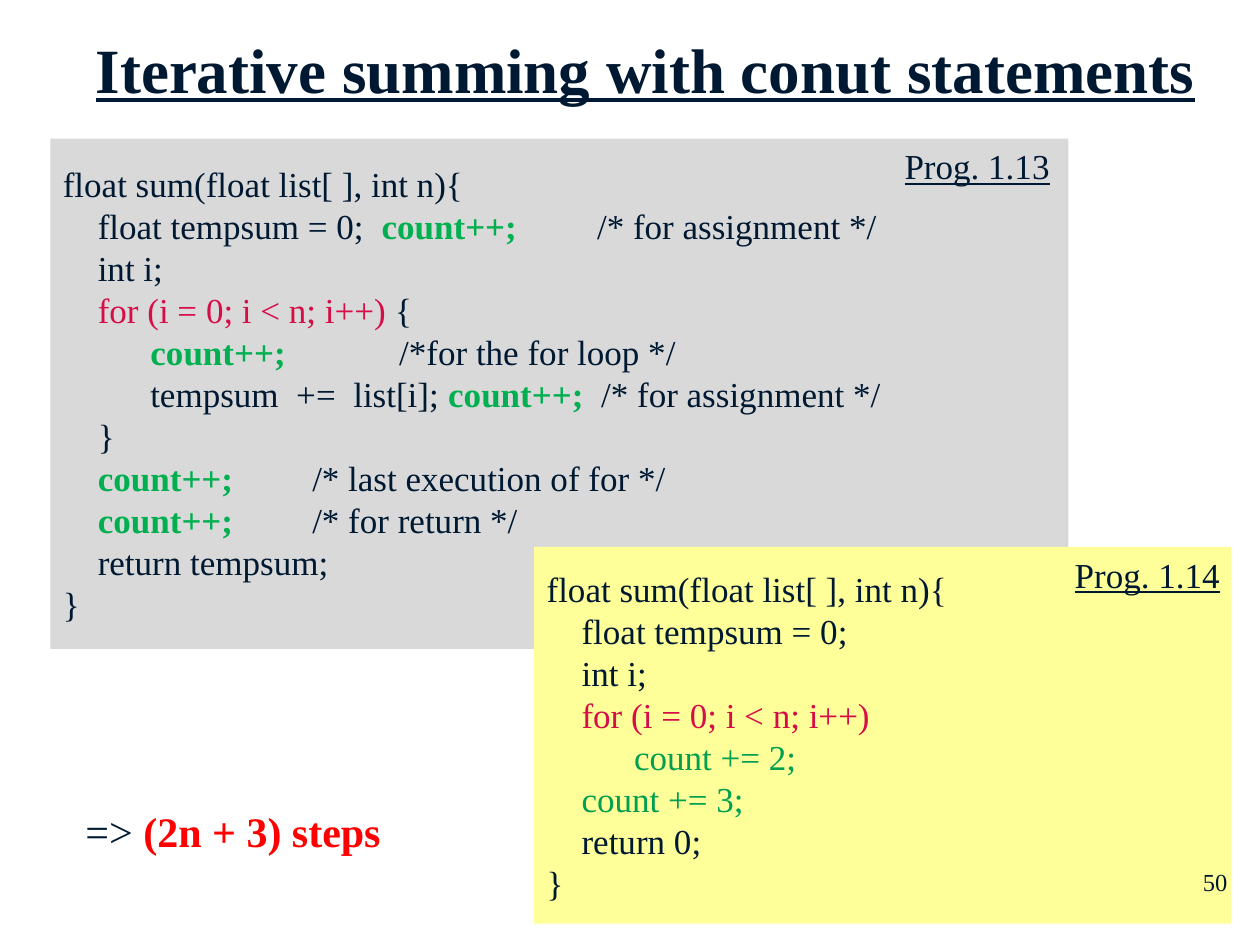
from pptx import Presentation
from pptx.dml.color import RGBColor
from pptx.enum.shapes import MSO_SHAPE
from pptx.enum.text import MSO_ANCHOR, MSO_AUTO_SIZE, PP_ALIGN
from pptx.oxml.ns import qn
from pptx.util import Inches, Pt
from lxml import etree

RECT = MSO_SHAPE.RECTANGLE
TOP, MIDDLE = MSO_ANCHOR.TOP, MSO_ANCHOR.MIDDLE
NO_FIT = MSO_AUTO_SIZE.NONE
LEFT, CENTER, RIGHT = PP_ALIGN.LEFT, PP_ALIGN.CENTER, PP_ALIGN.RIGHT

FONT = "Times New Roman"
INK, GRAY, YELLOW = "001932", "D9D9D9", "FFFF99"
COUNT, LOOP, TOTAL, RED = "00B050", "D60E47", "039F51", "FF0000"


def rgb(value):
    return RGBColor.from_string(value)


def add_run(p, text, size, color=INK, bold=False, underline=False):
    r = p.add_run()
    r.text = text
    f = r.font
    f.name, f.size, f.bold, f.underline = FONT, Pt(size), bold, underline
    f.color.rgb = rgb(color)


def set_frame(tf, anchor):
    tf.word_wrap = True
    tf.auto_size = NO_FIT
    tf.vertical_anchor = anchor


def add_tab_stop(p, position):
    tabs = etree.SubElement(p._p.get_or_add_pPr(), qn("a:tabLst"))
    etree.SubElement(tabs, qn("a:tab"), pos=str(Inches(position)), algn="l")


def add_label(slide, box, runs, align=LEFT):
    """Place a one-line text; runs are argument tuples for add_run."""
    s = slide.shapes.add_textbox(*map(Inches, box))
    set_frame(s.text_frame, TOP)
    p = s.text_frame.paragraphs[0]
    p.alignment = align
    for run in runs:
        add_run(p, *run)


def add_title(slide, box, text):
    s = slide.shapes.title
    s.left, s.top, s.width, s.height = map(Inches, box)
    set_frame(s.text_frame, TOP)
    p = s.text_frame.paragraphs[0]
    p.alignment = CENTER
    add_run(p, text, 36, bold=True, underline=True)


def add_program(slide, box, fill, lines, name, name_left):
    """Place a code panel; each line is (comment tab stop, runs)."""
    s = slide.shapes.add_shape(RECT, *map(Inches, box))
    s.shadow.inherit = False
    s.fill.solid()
    s.fill.fore_color.rgb = rgb(fill)
    s.line.fill.background()
    tf = s.text_frame
    set_frame(tf, MIDDLE)
    for i, (tab, runs) in enumerate(lines):
        p = tf.add_paragraph() if i else tf.paragraphs[0]
        p.alignment = LEFT
        p.line_spacing = Pt(24)
        if tab:
            add_tab_stop(p, tab)
        for text, color, bold in runs:
            add_run(p, text, 20, color, bold)
    add_label(slide, (name_left, box[1], 1.47, 0.44),
              [(name, 20, INK, False, True)], CENTER)


def code(text, color=INK):
    return None, [(text, color, False)]


def counted(before, comment, tab=None):
    """A line of code with a bold counter and a comment."""
    return tab, [(before, INK, False), ("count++;", COUNT, True),
                 (("\t" if tab else "  ") + comment, INK, False)]


COUNTED_SUM = [
    code("float sum(float list[ ], int n){"),
    counted("    float tempsum = 0;  ", "/* for assignment */", 4.24),
    code("    int i;"),
    (None, [("    for (i = 0; i < n; i++)", LOOP, False), (" {", INK, False)]),
    counted("          ", "/*for the for loop */", 2.67),
    counted("          tempsum  +=  list[i]; ", "/* for assignment */"),
    code("    }"),
    counted("    ", "/* last execution of for */", 1.98),
    counted("    ", "/* for return */", 1.98),
    code("    return tempsum;"),
    code("}"),
]
SIMPLIFIED_SUM = [
    code("float sum(float list[ ], int n){"),
    code("    float tempsum = 0;"),
    code("    int i;"),
    code("    for (i = 0; i < n; i++)", LOOP),
    code("          count += 2;", TOTAL),
    code("    count += 3;", TOTAL),
    code("    return 0;"),
    code("}"),
]


def main():
    prs = Presentation()
    prs.slide_width, prs.slide_height = Inches(10), Inches(7.5)
    slide = prs.slides.add_slide(prs.slide_layouts[5])

    add_title(slide, (0.4, 0.19, 9.44, 0.71),
              "Iterative summing with conut statements")
    # Program panels, the second overlapping the first
    add_program(slide, (0.4, 1.1, 8.08, 4.05), GRAY, COUNTED_SUM,
                "Prog. 1.13", 7.02)
    add_program(slide, (4.24, 4.34, 5.53, 2.99), YELLOW, SIMPLIFIED_SUM,
                "Prog. 1.14", 8.37)
    # Step count and page number
    add_label(slide, (0.58, 6.34, 3.49, 0.51),
              [("=> ", 24), ("(2n + 3) steps", 24, RED, True)])
    add_label(slide, (7.76, 6.83, 2.08, 0.5), [("50", 14)], RIGHT)

    prs.save("out.pptx")


if __name__ == "__main__":
    main()
